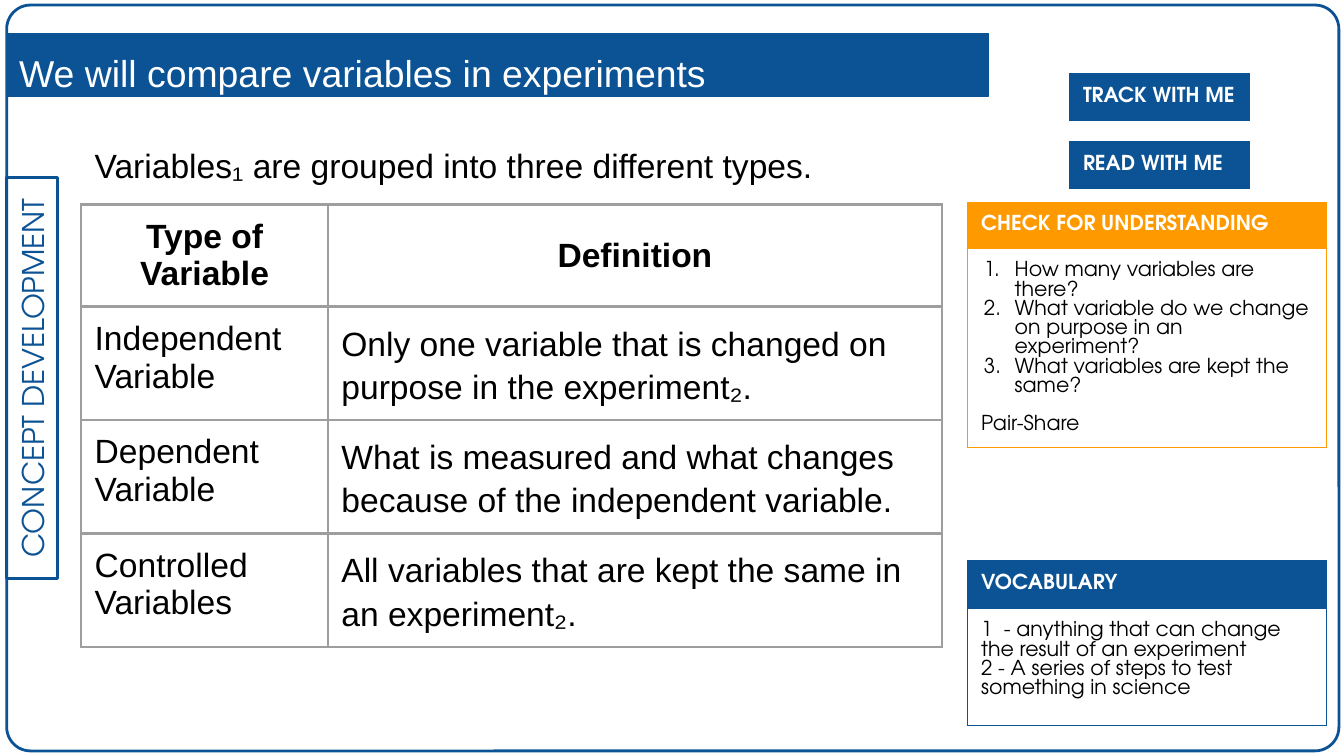
from lxml import etree
from pptx import Presentation
from pptx.dml.color import RGBColor
from pptx.enum import shapes, text
from pptx.oxml.ns import qn
from pptx.util import Pt

COLORS = {"blue": "0B5394", "orange": "FF9900", "gray": "9E9E9E",
          "white": "FFFFFF", "black": "000000"}
SANS, GEO = "Arial", "TeX Gyre Adventor"
CENTER = text.PP_ALIGN.CENTER
MIDDLE = text.MSO_ANCHOR.MIDDLE


def rgb(name):
    return RGBColor.from_string(COLORS[name])


class Lesson:
    margin = Pt(7.2)

    def __init__(self, prs):
        self.s = prs.slides.add_slide(prs.slide_layouts[1])

    def add_text(self, p, words, font, size, color="black", bold=False,
                 align=text.PP_ALIGN.LEFT, spacing=None, before=0):
        p.alignment = align
        p.space_before = Pt(before)
        if spacing:
            p.line_spacing = spacing
        r = p.add_run()
        r.text = words
        r.font.name, r.font.size, r.font.bold = font, Pt(size), bold
        r.font.color.rgb = rgb(color)

    def inset(self, box):
        box.margin_left = box.margin_right = self.margin
        box.margin_top = box.margin_bottom = self.margin

    def placeholder(self, idx, box, words, size, color, anchor):
        sp = self.s.placeholders[idx]
        sp.left, sp.top, sp.width, sp.height = map(Pt, box)
        sp.element.getparent().append(sp.element)
        tf = sp.text_frame
        self.inset(tf)
        tf.word_wrap, tf.vertical_anchor = True, anchor
        tf.auto_size = text.MSO_AUTO_SIZE.NONE
        p = tf.paragraphs[0]
        pPr = p._p.get_or_add_pPr()
        pPr.set("marL", "0")
        pPr.set("indent", "0")
        etree.SubElement(pPr, qn("a:buNone"))
        self.add_text(p, words, SANS, size, color, spacing=1.15)

    def shape(self, kind, box, fill=None, width=1.5):
        sp = self.s.shapes.add_shape(kind, *map(Pt, box))
        sp.shadow.inherit = False
        if fill:
            sp.fill.solid()
            sp.fill.fore_color.rgb = rgb(fill)
        else:
            sp.fill.background()
        sp.line.color.rgb = rgb("blue")
        sp.line.width = Pt(width)
        return sp

    def border(self, cell, color, width):
        tcPr = cell._tc.get_or_add_tcPr()
        for i, side in enumerate(("lnL", "lnR", "lnT", "lnB")):
            ln = etree.Element(qn(f"a:{side}"), w=str(Pt(width)))
            fill = etree.SubElement(ln, qn("a:solidFill"))
            etree.SubElement(fill, qn("a:srgbClr"), val=COLORS[color])
            tcPr.insert(i, ln)

    def table(self, left, top, cols, rows, color, width=0.75):
        frame = self.s.shapes.add_table(len(rows), len(cols), Pt(left), Pt(top),
                                        Pt(sum(cols)), Pt(sum(rows)))
        t = frame.table
        t.first_row = t.horz_banding = False
        for col, w in zip(t.columns, cols):
            col.width = Pt(w)
        for row, h in zip(t.rows, rows):
            row.height = Pt(h)
        for cell in t.iter_cells():
            self.inset(cell)
            cell.fill.background()
            self.border(cell, color, width)
        return t

    def paragraphs(self, cell, lines):
        tf = cell.text_frame
        for i, line in enumerate(lines):
            yield (tf.add_paragraph() if i else tf.paragraphs[0]), line

    def number(self, p):
        pPr = p._p.get_or_add_pPr()
        pPr.set("marL", str(Pt(18)))
        pPr.set("indent", str(Pt(-16.5)))
        clr = etree.SubElement(pPr, qn("a:buClr"))
        etree.SubElement(clr, qn("a:srgbClr"), val=COLORS["black"])
        etree.SubElement(pPr, qn("a:buAutoNum"), type="arabicPeriod")

    def panel(self, left, top, width, rows, color, heading, numbered=(), plain=()):
        t = self.table(left, top, [width], rows, color)
        head = t.cell(0, 0)
        head.fill.solid()
        head.fill.fore_color.rgb = rgb(color)
        self.add_text(head.text_frame.paragraphs[0], heading, GEO, 11, "white", True)
        if len(rows) == 1:
            return
        for p, line in self.paragraphs(t.cell(1, 0), [*numbered, *plain]):
            if line in numbered:
                self.number(p)
            gap = 10 if numbered and line in plain else 0
            self.add_text(p, line, GEO, 11, before=gap)

    def definitions(self, left, top, cols, rows, headings, entries):
        t = self.table(left, top, cols, rows, "gray", 1.5)
        for c, heading in enumerate(headings):
            cell = t.cell(0, c)
            cell.vertical_anchor = MIDDLE
            self.add_text(cell.text_frame.paragraphs[0], heading, SANS, 18,
                          bold=True, align=CENTER)
        for i, (names, meaning) in enumerate(entries, 1):
            for p, line in self.paragraphs(t.cell(i, 0), names):
                self.add_text(p, line, SANS, 18)
            self.add_text(t.cell(i, 1).text_frame.paragraphs[0], meaning, SANS, 18,
                          spacing=1.15)

    def side_label(self, box, words):
        sp = self.shape(shapes.MSO_SHAPE.RECTANGLE, box)
        sp.rotation = 270
        tf = sp.text_frame
        self.inset(tf)
        tf.word_wrap, tf.vertical_anchor = True, MIDDLE
        self.add_text(tf.paragraphs[0], words, GEO, 16, "blue", align=CENTER)


def main():
    prs = Presentation()
    prs.slide_width, prs.slide_height = Pt(720), Pt(405)
    lesson = Lesson(prs)

    frame = lesson.shape(shapes.MSO_SHAPE.ROUNDED_RECTANGLE, (3.6, 2.7, 713.7, 399.6))
    frame.adjustments[0] = 0.032
    lesson.side_label((-90, 188.8, 214.6, 27.4), "CONCEPT DEVELOPMENT")
    lesson.shape(shapes.MSO_SHAPE.RECTANGLE, (3.6, 18, 526, 33.5), "blue", 0.75)
    lesson.placeholder(1, (43.5, 67, 486, 320),
                       "Variables₁ are grouped into three different types.",
                       18, "black", text.MSO_ANCHOR.TOP)
    lesson.placeholder(0, (3, 0, 526, 74), "We will compare variables in experiments",
                       20, "white", MIDDLE)

    for top, label in ((39.3, "TRACK WITH ME"), (75.8, "READ WITH ME")):
        lesson.panel(573, top, 96.5, [25], "blue", label)

    lesson.definitions(
        43.5, 109.5, [132.2, 329], [54.5] + [60.8] * 3,
        ["Type of Variable", "Definition"],
        [(["Independent Variable"],
          "Only one variable that is changed on purpose in the experiment₂."),
         (["Dependent", "Variable"],
          "What is measured and what changes because of the independent variable."),
         (["Controlled", "Variables"],
          "All variables that are kept the same in an experiment₂.")])

    lesson.panel(518.4, 108.3, 192.2, [24.6, 107], "orange", "CHECK FOR UNDERSTANDING",
                 numbered=["How many variables are there?",
                           "What variable do we change on purpose in an experiment?",
                           "What variables are kept the same?"],
                 plain=["Pair-Share"])
    lesson.panel(518.4, 300.2, 192.2, [25.7, 62.7], "blue", "VOCABULARY",
                 plain=["1  - anything that can change the result of an experiment",
                        "2 - A series of steps to test something in science"])

    prs.save("out.pptx")


if __name__ == "__main__":
    main()
